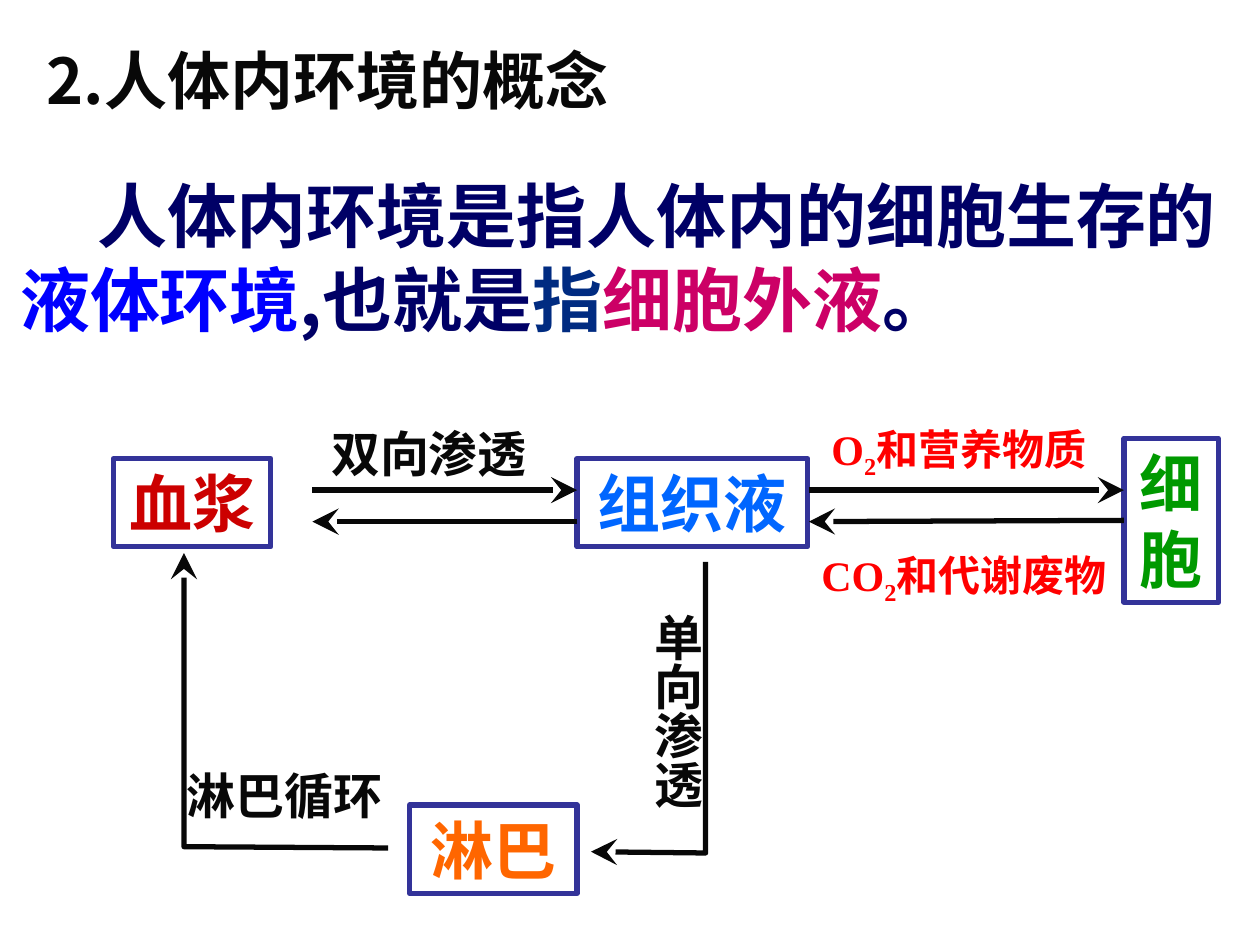
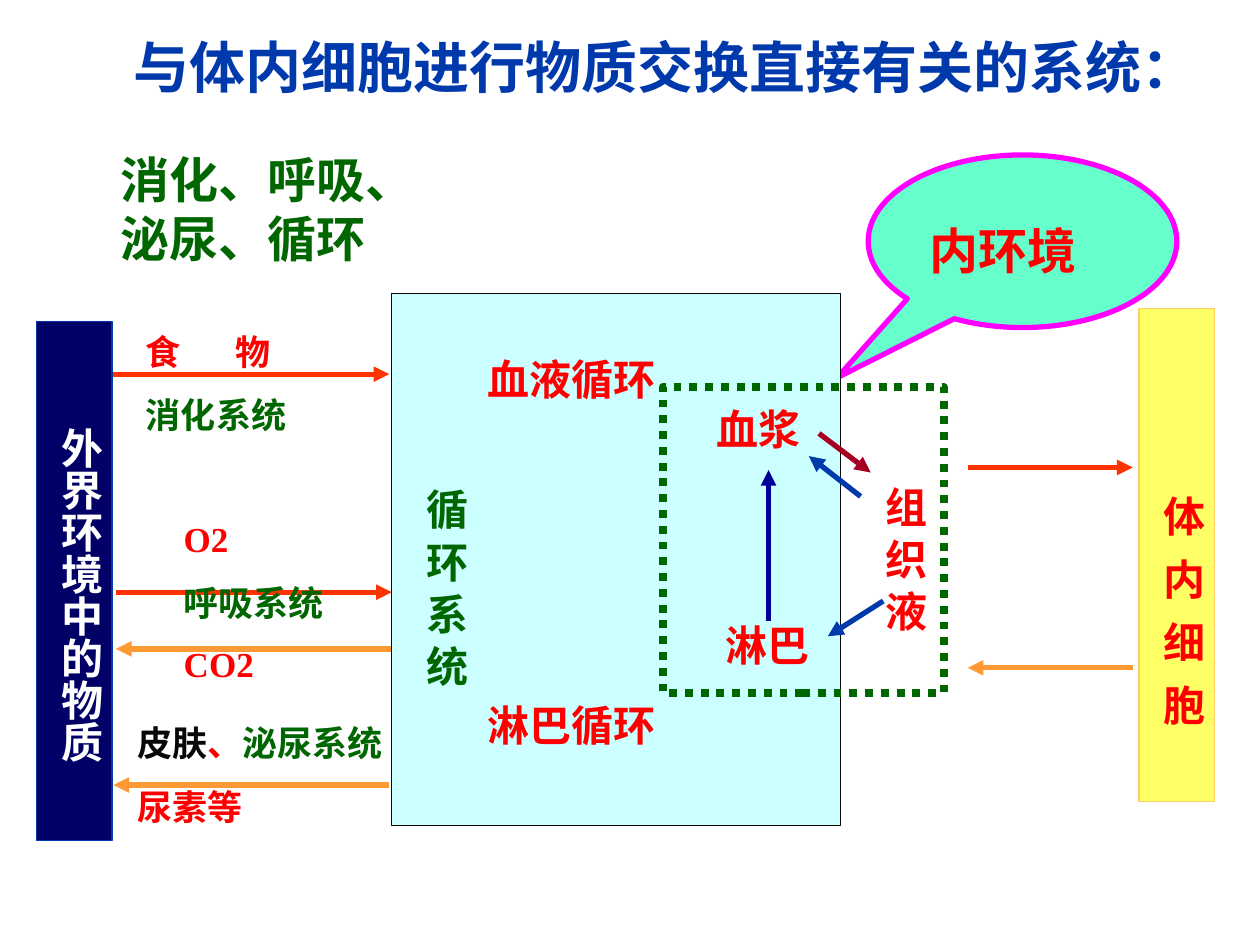
"""Build two slides on the internal environment of the human body."""
import pptx
import pptx.util
import pptx.dml.color
import pptx.enum.dml
import pptx.enum.shapes
import pptx.enum.text
import pptx.oxml.ns
from lxml import etree

Inches = pptx.util.Inches
Pt = pptx.util.Pt
RGBColor = pptx.dml.color.RGBColor
SHAPE = pptx.enum.shapes.MSO_SHAPE
ALIGN = pptx.enum.text.PP_ALIGN
qn = pptx.oxml.ns.qn

BLACK = RGBColor(0x08, 0x08, 0x08)
WHITE = RGBColor(0xFF, 0xFF, 0xFF)
NAVY = RGBColor(0x00, 0x00, 0x66)
DEEP_BLUE = RGBColor(0x00, 0x00, 0x99)
ROYAL = RGBColor(0x00, 0x39, 0xAC)
STEEL = RGBColor(0x00, 0x2B, 0x81)
BLUE = RGBColor(0x00, 0x00, 0xFF)
SKY = RGBColor(0x00, 0x66, 0xFF)
FRAME = RGBColor(0x33, 0x33, 0x99)
RED = RGBColor(0xFF, 0x00, 0x00)
BLOOD = RGBColor(0xCC, 0x00, 0x00)
WINE = RGBColor(0xA5, 0x00, 0x21)
PINK = RGBColor(0xCC, 0x00, 0x66)
MAGENTA = RGBColor(0xFF, 0x00, 0xFF)
GREEN = RGBColor(0x00, 0x66, 0x00)
LEAF = RGBColor(0x00, 0x99, 0x00)
MINT = RGBColor(0x66, 0xFF, 0xCC)
CYAN = RGBColor(0xCC, 0xFF, 0xFF)
YELLOW = RGBColor(0xFF, 0xFF, 0x66)
GOLD = RGBColor(0xFF, 0xCC, 0x66)
ORANGE = RGBColor(0xFF, 0x66, 0x00)
INTAKE = RGBColor(0xFF, 0x33, 0x00)
OUTPUT = RGBColor(0xFF, 0x99, 0x33)

SERIF = "Times New Roman"
SANS = "Arial"
HEITI = "Noto Sans CJK SC"

TRIANGLE = {"type": "triangle"}
STEALTH = {"type": "stealth", "w": "lg", "len": "lg"}


def write(box, paragraphs, size, font=SERIF, align=ALIGN.LEFT, gap=0,
          insets=(0.1, 0.05, 0.1, 0.05)):
    """Fill a shape with paragraphs, each a list of (text, colour, run attributes)."""
    frame = box.text_frame
    left, top, right, bottom = (Inches(inset) for inset in insets)
    settings = {"word_wrap": True, "margin_left": left, "margin_top": top,
                "margin_right": right, "margin_bottom": bottom,
                "vertical_anchor": pptx.enum.text.MSO_ANCHOR.TOP}
    for name, value in settings.items():
        setattr(frame, name, value)
    for number, spans in enumerate(paragraphs):
        para = frame.add_paragraph() if number else frame.paragraphs[0]
        para.alignment = align
        if number and gap:
            para.space_before = Pt(gap)
        for text, color, *extra in spans:
            span = para.add_run()
            span.text = text
            for name, value in {"size": Pt(size), "name": font, "bold": True}.items():
                setattr(span.font, name, value)
            span.font.color.rgb = color
            for attributes in extra:
                for name, value in attributes.items():
                    span._r.get_or_add_rPr().set(name, str(value))


def add_text(page, at, paragraphs, size, **options):
    """Add a text box."""
    box = page.shapes.add_textbox(*(Inches(length) for length in at))
    write(box, paragraphs, size, **options)
    return box


def set_column(box, spans, size=24, lead=0.0):
    """Write a vertical column of text, moved down by a lead."""
    write(box, [spans], size, insets=(0.05, 0.1 + lead, 0.05, 0.1))
    box.text_frame._txBody.bodyPr.set("vert", "eaVert")


def add_column(page, at, spans, size=24, lead=0.0):
    """Add a text box whose text runs downwards."""
    box = page.shapes.add_textbox(*(Inches(length) for length in at))
    set_column(box, spans, size, lead)


def paint(shape, fill, line, width):
    """Set the fill and outline of a shape without a shadow."""
    shape.shadow.inherit = False
    if fill is None:
        shape.fill.background()
    else:
        shape.fill.solid()
        shape.fill.fore_color.rgb = fill
    shape.line.color.rgb = line
    shape.line.width = Pt(width)


def add_block(page, at, fill, line, width, kind=SHAPE.RECTANGLE):
    """Add a painted preset shape."""
    block = page.shapes.add_shape(kind, *(Inches(length) for length in at))
    paint(block, fill, line, width)
    return block


def add_fluid(page, at, name, color):
    """Add a framed box that names one fluid or the cell."""
    box = add_block(page, at, None, FRAME, 3)
    write(box, [[(name, color)]], 36, align=ALIGN.CENTER)
    return box


def point_end(shape, head):
    """Put an arrowhead at the end of a line."""
    etree.SubElement(shape.line._get_or_add_ln(), qn("a:tailEnd"), **head)


def add_arrow(page, start, end, color, head=TRIANGLE):
    """Add a straight arrow."""
    arrow = page.shapes.add_connector(
        pptx.enum.shapes.MSO_CONNECTOR.STRAIGHT,
        *(Inches(length) for length in (*start, *end)))
    arrow.line.color.rgb = color
    arrow.line.width = Pt(3)
    point_end(arrow, head)
    etree.SubElement(arrow._element.spPr, qn("a:effectLst"))
    return arrow


def add_bent_arrow(page, points):
    """Add an open outline that ends in an arrowhead."""
    start, *rest = [(Inches(x), Inches(y)) for x, y in points]
    builder = page.shapes.build_freeform(*start)
    builder.add_line_segments(rest, close=False)
    arrow = builder.convert_to_shape()
    paint(arrow, None, BLACK, 3)
    point_end(arrow, STEALTH)


def build_concept(page):
    """Draw the definition and the exchange between body fluids."""
    add_bent_arrow(page, [(3.08, 6.73), (1.46, 6.72), (1.46, 4.39)])
    add_fluid(page, (0.9, 3.64, 1.25, 0.7), "血浆", BLOOD)
    add_fluid(page, (4.58, 3.64, 1.83, 0.7), "组织液", SKY)
    add_fluid(page, (3.25, 6.39, 1.33, 0.7), "淋巴", ORANGE)
    cell = add_fluid(page, (8.92, 3.48, 0.75, 1.3), "细胞", LEAF)

    for left, right in ((2.48, 4.58), (6.42, 8.92)):
        add_arrow(page, (left, 3.89), (right, 3.89), BLACK, STEALTH)
        back = add_arrow(page, (right, 4.14), (left, 4.14), BLACK, STEALTH)
    back.begin_connect(cell, 1)

    for at, gas, others in (((6.5, 3.31, 2.33, 0.56), "O", "和营养物质"),
                            ((6.42, 4.31, 2.58, 0.56), "CO", "和代谢废物")):
        add_text(page, at, [[(gas, RED), ("2", RED, {"baseline": -25000}),
                             (others, RED)]], 24)

    add_bent_arrow(page, [(5.6, 4.46), (5.6, 6.77), (4.69, 6.76)])
    add_text(page, (2.53, 3.31, 2, 0.57), [[("双向渗透", BLACK)]], 28)
    add_column(page, (5, 4.73, 0.66, 1.83), [("单向渗透", BLACK)], 28, lead=0.04)
    add_text(page, (1.38, 6.03, 2.07, 0.57), [[("淋巴循环", BLACK)]], 28)

    add_text(page, (0.27, 0.28, 8.11, 0.7), [[("2.人体内环境的概念", BLACK)]], 36,
             font=HEITI)
    definition = add_text(
        page, (0.16, 1.37, 9.84, 1.4),
        [[("人体内环境是指人体内的细胞生存的", NAVY), ("液体环境", BLUE),
          (",也就是", NAVY), ("指", STEEL), ("细胞外液", PINK), ("。", NAVY)]],
        40, font=HEITI, insets=(0, 0, 0, 0))
    properties = definition.text_frame.paragraphs[0]._p.get_or_add_pPr()
    properties.set("indent", str(Pt(44)))


def build_systems(page):
    """Draw the systems that link the outside world to the cells."""
    outside = add_block(page, (0.29, 2.55, 0.6, 4.12), NAVY, ROYAL, 0.75)
    set_column(outside, [("外界环境中的物质", WHITE)], lead=0.74)
    cells = add_block(page, (9.04, 2.45, 0.6, 3.91), YELLOW, GOLD, 0.75)
    set_column(cells, [("体内细胞", RED, {"spc": 1200})], lead=1.38)

    for start, end, y, color in (
            (7.68, 8.99, 3.71, INTAKE), (8.99, 7.68, 5.3, OUTPUT),
            (0.9, 3.09, 2.97, INTAKE), (0.92, 3.11, 4.7, INTAKE),
            (3.11, 0.92, 5.15, OUTPUT), (3.09, 0.9, 6.23, OUTPUT)):
        add_arrow(page, (start, y), (end, y), color)

    exchanges = (
        ((1.06, 2.57, 1.75, 0.94),
         [[("食", RED, {"spc": 3100}), ("物", RED)], [("消化系统", GREEN)]]),
        ((1.36, 4.06, 1.57, 0.94), [[("O2", RED)], [("呼吸系统", GREEN)]]),
        ((1.36, 5.05, 1.22, 0.44), [[("CO2", RED)]]),
        ((0.99, 5.68, 2.28, 0.94),
         [[("皮肤", BLACK), ("、", RED), ("泌尿系统", GREEN)], [("尿素等", RED)]]))
    for at, paragraphs in exchanges:
        add_text(page, at, paragraphs, 20, gap=12.5)

    callout = add_block(page, (6.89, 1.23, 2.45, 1.37), MINT, MAGENTA, 3,
                        SHAPE.OVAL_CALLOUT)
    callout.adjustments[0] = -0.6
    callout.adjustments[1] = 0.79
    add_text(page, (7.28, 1.7, 1.66, 0.57), [[("内环境", RED)]], 28)

    add_block(page, (3.11, 2.33, 3.56, 4.22), CYAN, BLACK, 0.75)
    add_column(page, (3.19, 3.18, 0.6, 2.75), [("循 环 系 统", GREEN)], lead=0.6)
    inner = add_block(page, (5.26, 3.07, 2.23, 2.43), None, GREEN, 4.5)
    inner.line.dash_style = pptx.enum.dml.MSO_LINE.ROUND_DOT
    add_column(page, (6.83, 3.26, 0.6, 2.22), [("组 织 液", RED)], lead=0.5)
    for at, name in (((3.77, 2.76, 1.65, 0.5), "血液循环"),
                     ((3.77, 5.5, 1.57, 0.5), "淋巴循环"),
                     ((5.59, 3.15, 0.91, 0.5), "血浆"),
                     ((5.66, 4.87, 0.91, 0.5), "淋巴")):
        add_text(page, at, [[(name, RED)]], 24)

    for start, end, color in (((6.5, 3.44), (6.91, 3.75), WINE),
                              ((7.01, 4.77), (6.57, 5.05), ROYAL),
                              ((6.83, 3.94), (6.42, 3.62), ROYAL),
                              ((6.1, 4.93), (6.1, 3.73), DEEP_BLUE)):
        add_arrow(page, start, end, color)

    add_text(page, (0.96, 0.21, 9.04, 0.64),
             [[("与体内细胞进行物质交换直接有关的系统：", ROYAL)]], 32, font=SANS)
    add_text(page, (0.86, 1.14, 2.65, 1.04),
             [[("消化、呼吸、", GREEN)], [("泌尿、循环", GREEN)]], 28, font=SANS)


def main():
    """Build and save the deck."""
    deck = pptx.Presentation()
    deck.slide_width, deck.slide_height = Inches(10), Inches(7.5)
    for build in (build_concept, build_systems):
        build(deck.slides.add_slide(deck.slide_layouts[6]))
    deck.save("out.pptx")


if __name__ == "__main__":
    main()
